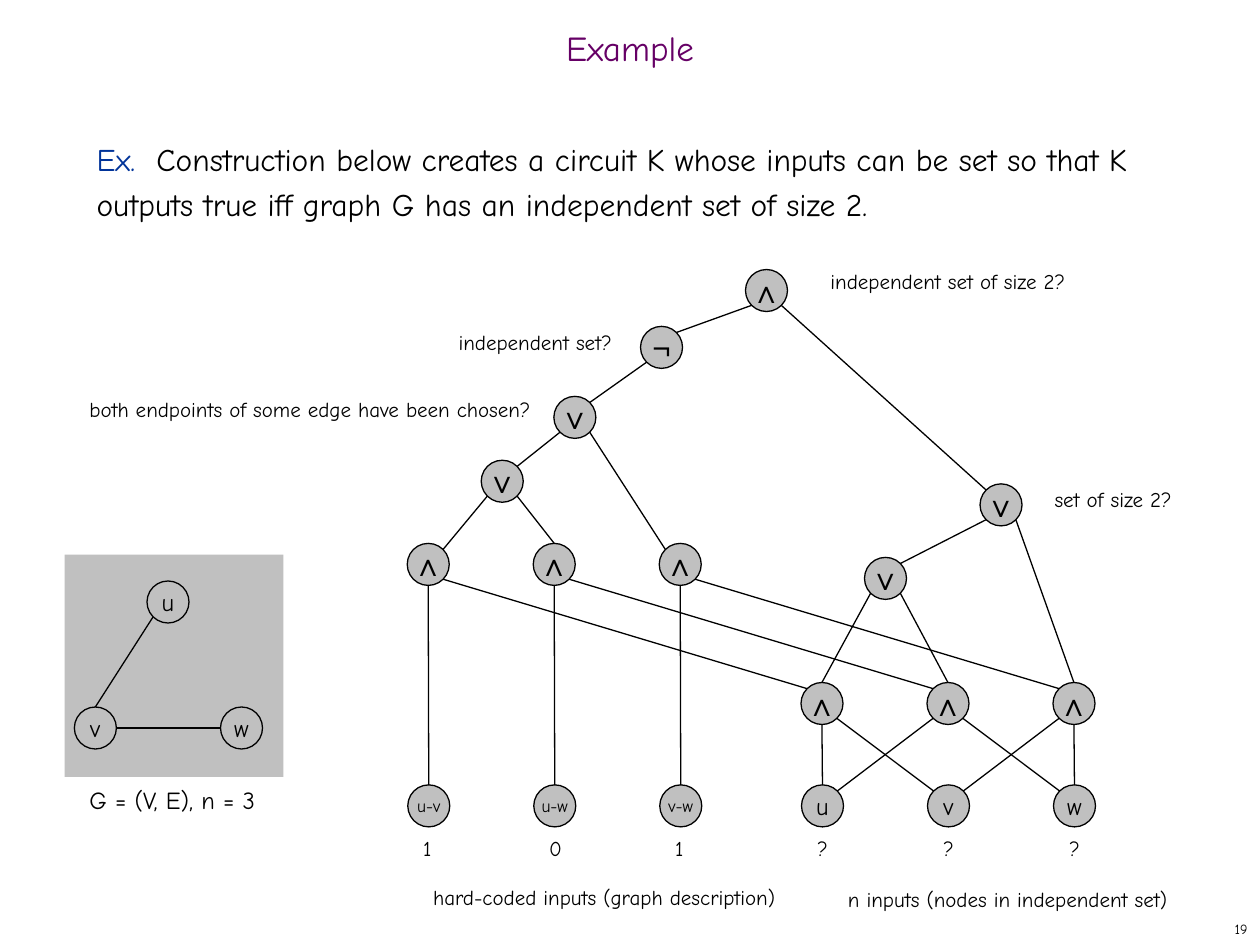
"""Build the example slide that reduces independent set to a circuit."""
from typing import NamedTuple

from lxml import etree
from pptx import Presentation
from pptx.dml.color import RGBColor
from pptx.enum.shapes import MSO_CONNECTOR, MSO_SHAPE
from pptx.enum.text import MSO_ANCHOR, MSO_AUTO_SIZE, PP_ALIGN
from pptx.oxml.ns import qn
from pptx.util import Pt

LEFT, CENTER, RIGHT = PP_ALIGN.LEFT, PP_ALIGN.CENTER, PP_ALIGN.RIGHT
TOP, MIDDLE = MSO_ANCHOR.TOP, MSO_ANCHOR.MIDDLE
NO_RESIZE = MSO_AUTO_SIZE.NONE
STRAIGHT = MSO_CONNECTOR.STRAIGHT
OVAL, RECTANGLE = MSO_SHAPE.OVAL, MSO_SHAPE.RECTANGLE

BODY_FONT, SYMBOL_FONT = "Comic Neue", "Arial"
BLACK, GRAY, PURPLE, BLUE = "000000", "C0C0C0", "660066", "003399"
DIAMETER = 24
COLUMN_STEP = 72
DIAGONAL = 0.707
DIRECTIONS = {
    "top": (0, -1), "bottom": (0, 1), "left": (-1, 0), "right": (1, 0),
    "top left": (-DIAGONAL, -DIAGONAL), "top right": (DIAGONAL, -DIAGONAL),
    "bottom left": (-DIAGONAL, DIAGONAL), "bottom right": (DIAGONAL, DIAGONAL),
}


class Node(NamedTuple):
    left: float
    top: float
    text: str
    size: float = 18
    font: str = SYMBOL_FONT


class Edge(NamedTuple):
    start: str
    start_side: str
    end: str
    end_side: str


class Label(NamedTuple):
    text: str
    left: float
    top: float
    width: float
    height: float = 21.6
    size: float = 12


NODES = {
    "root": Node(426, 154, "∧"),
    "not": Node(366, 186.5, "¬"),
    "any edge": Node(316.5, 226.5, "∨"),
    "first edges": Node(275, 263, "∨"),
    "size two": Node(560, 276.5, "∨"),
    "first pairs": Node(494, 318.5, "∨"),
    "graph u": Node(84, 332, "u", 14, BODY_FONT),
    "graph v": Node(42.5, 404, "v", 14, BODY_FONT),
    "graph w": Node(126, 404, "w", 14, BODY_FONT),
}
EDGES = [
    Edge("root", "bottom left", "not", "top right"),
    Edge("root", "bottom right", "size two", "top left"),
    Edge("not", "bottom left", "any edge", "top right"),
    Edge("any edge", "bottom left", "first edges", "top right"),
    Edge("any edge", "bottom right", "edge and 2", "top left"),
    Edge("first edges", "bottom left", "edge and 0", "top right"),
    Edge("first edges", "bottom right", "edge and 1", "top"),
    Edge("size two", "bottom left", "first pairs", "top right"),
    Edge("size two", "bottom right", "pair and 2", "top"),
    Edge("first pairs", "bottom left", "pair and 0", "top"),
    Edge("first pairs", "bottom right", "pair and 1", "top"),
    Edge("pair and 0", "bottom", "input 0", "top"),
    Edge("pair and 2", "bottom", "input 2", "top"),
    Edge("graph u", "bottom left", "graph v", "top"),
    Edge("graph w", "left", "graph v", "right"),
]
LABELS = [
    Label("independent set of size 2?", 467.5, 150, 149),
    Label("independent set?", 255, 184.5, 102),
    Label("both endpoints of some edge have been chosen?", 44, 223, 267),
    Label("set of size 2?", 595.5, 274.5, 82),
    Label("hard-coded inputs (graph description)", 240.5, 502, 211),
    Label("n inputs (nodes in independent set)", 477.5, 502.8, 197),
    Label("G = (V, E), n = 3", 44, 445, 111, 24, 14),
]
for column, (pair, bit, name) in enumerate(zip(("u-v", "u-w", "v-w"), "101", "uvw")):
    offset = column * COLUMN_STEP
    NODES[f"edge and {column}"] = Node(232.7 + offset, 310.5, "∧")
    NODES[f"hard {column}"] = Node(233 + offset, 448.5, pair, 10, BODY_FONT)
    NODES[f"pair and {column}"] = Node(457.7 + offset, 390, "∧")
    NODES[f"input {column}"] = Node(458 + offset, 448.5, name, 14, BODY_FONT)
    EDGES.append(Edge(f"edge and {column}", "bottom", f"hard {column}", "top"))
    EDGES.append(Edge(f"edge and {column}", "bottom right", f"pair and {column}", "top left"))
    LABELS.append(Label(bit, 234.8 + offset, 474, 20))
    LABELS.append(Label("?", 460 + offset, 474, 21))
for column in range(2):
    neighbour = column + 1
    EDGES.append(Edge(f"pair and {column}", "bottom right", f"input {neighbour}", "top left"))
    EDGES.append(Edge(f"pair and {neighbour}", "bottom left", f"input {column}", "top right"))


def color(value: str) -> RGBColor:
    """Return the color for a hex string."""
    return RGBColor.from_string(value)


def write_text(shape, *runs: tuple[str, str], size: float, font: str = BODY_FONT,
               align=LEFT, anchor=TOP, wrap: bool = False, spacing=None) -> None:
    """Fill a shape with one paragraph of (text, color) runs."""
    frame = shape.text_frame
    frame.auto_size = NO_RESIZE
    frame.word_wrap = wrap
    frame.vertical_anchor = anchor
    paragraph = frame.paragraphs[0]
    paragraph.alignment = align
    paragraph.space_before = Pt(0)
    if spacing is not None:
        paragraph.line_spacing = spacing
    for text, run_color in runs:
        run = paragraph.add_run()
        run.text = text
        run.font.size = Pt(size)
        run.font.name = font
        run.font.color.rgb = color(run_color)


def place(shape, left: float, top: float, width: float, height: float) -> None:
    """Move and size a shape in points."""
    shape.left, shape.top = Pt(left), Pt(top)
    shape.width, shape.height = Pt(width), Pt(height)


def add_filled(slide, kind, left: float, top: float, width: float, height: float):
    """Add a gray shape without outline or shadow."""
    shape = slide.shapes.add_shape(kind, Pt(left), Pt(top), Pt(width), Pt(height))
    shape.shadow.inherit = False
    shape.fill.solid()
    shape.fill.fore_color.rgb = color(GRAY)
    shape.line.fill.background()
    return shape


def add_node(slide, node: Node) -> None:
    """Draw a gate, input or vertex."""
    shape = add_filled(slide, OVAL, node.left, node.top, DIAMETER, DIAMETER)
    shape.line.color.rgb = color(BLACK)
    shape.line.width = Pt(0.75)
    write_text(shape, (node.text, BLACK), size=node.size, font=node.font,
               align=CENTER, anchor=MIDDLE)


def rim_point(name: str, side: str) -> tuple[Pt, Pt]:
    """Return the point on a node's rim in the given direction."""
    node, (across, down) = NODES[name], DIRECTIONS[side]
    radius = DIAMETER / 2
    return Pt(node.left + radius * (1 + across)), Pt(node.top + radius * (1 + down))


def add_edge(slide, edge: Edge) -> None:
    """Draw a line between the rims of two nodes."""
    connector = slide.shapes.add_connector(
        STRAIGHT, *rim_point(edge.start, edge.start_side), *rim_point(edge.end, edge.end_side))
    connector.line.color.rgb = color(BLACK)
    connector.line.width = Pt(0.75)
    etree.SubElement(connector._element.spPr, qn("a:effectLst"))


def add_label(slide, label: Label) -> None:
    """Draw an unwrapped caption."""
    box = slide.shapes.add_textbox(Pt(label.left), Pt(label.top), Pt(label.width), Pt(label.height))
    write_text(box, (label.text, BLACK), size=label.size)


def main() -> None:
    """Build and save the slide."""
    presentation = Presentation()
    presentation.slide_width, presentation.slide_height = Pt(720), Pt(540)
    slide = presentation.slides.add_slide(presentation.slide_layouts[1])

    title, body = slide.shapes.title, slide.placeholders[1]
    place(title, 0, 12, 720, 36)
    write_text(title, ("Example", PURPLE), size=20, align=CENTER, anchor=MIDDLE,
               wrap=True, spacing=0.7)
    place(body, 48, 72, 618, 426)
    properties = body.text_frame.paragraphs[0]._p.get_or_add_pPr()
    properties.set("marL", "0")
    properties.set("indent", "0")
    etree.SubElement(properties, qn("a:buNone"))
    statement = ("Construction below creates a circuit K whose inputs can be set so that K "
                 "outputs true iff graph G has an independent set of size 2.")
    write_text(body, ("Ex.  ", BLUE), (statement, BLACK), size=18, wrap=True, spacing=Pt(26))

    add_filled(slide, RECTANGLE, 37, 317, 125, 127)
    for node in NODES.values():
        add_node(slide, node)
    for edge in EDGES:
        add_edge(slide, edge)
    for label in LABELS:
        add_label(slide, label)
    page_number = slide.shapes.add_textbox(Pt(570), Pt(522), Pt(150), Pt(18))
    write_text(page_number, ("19", BLACK), size=8, align=RIGHT, anchor=MIDDLE, wrap=True)
    presentation.save("out.pptx")


if __name__ == "__main__":
    main()
